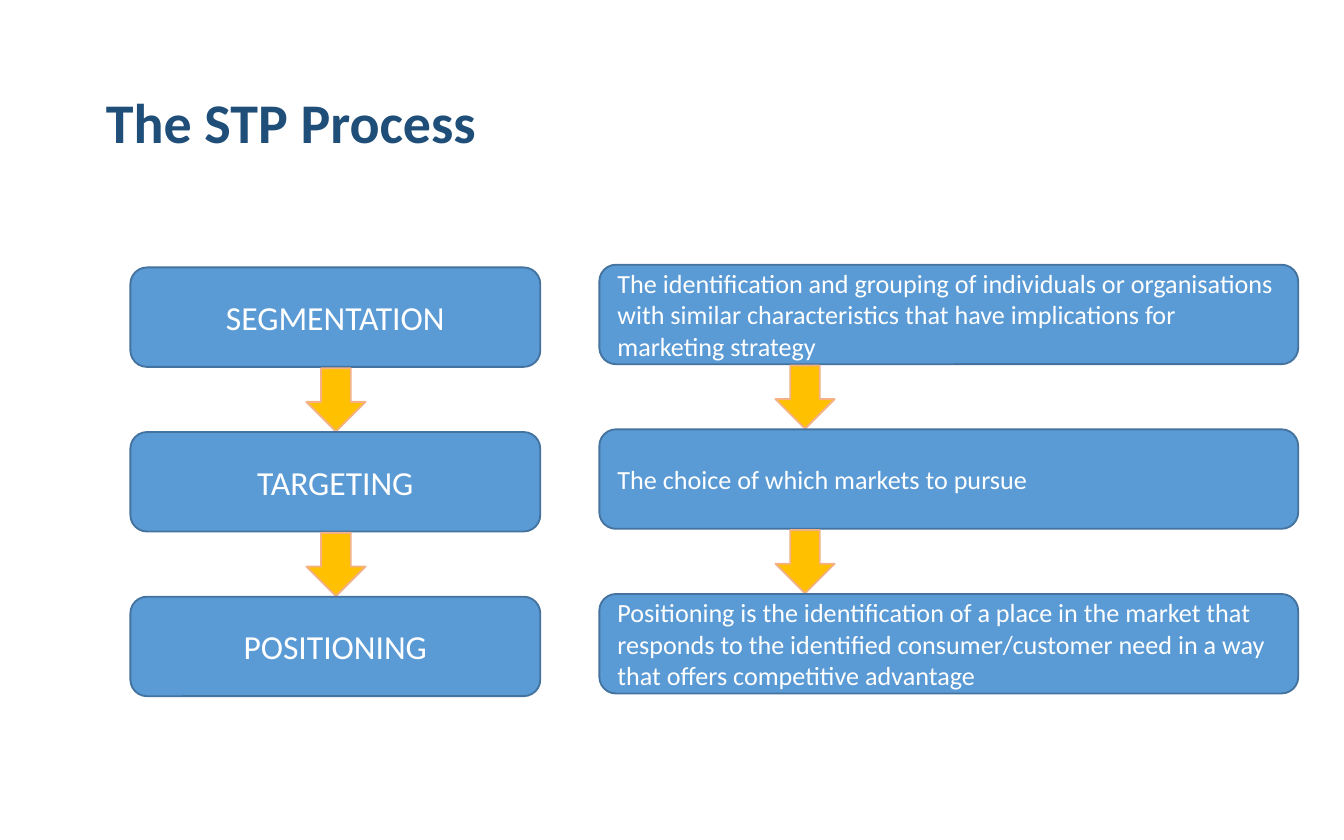
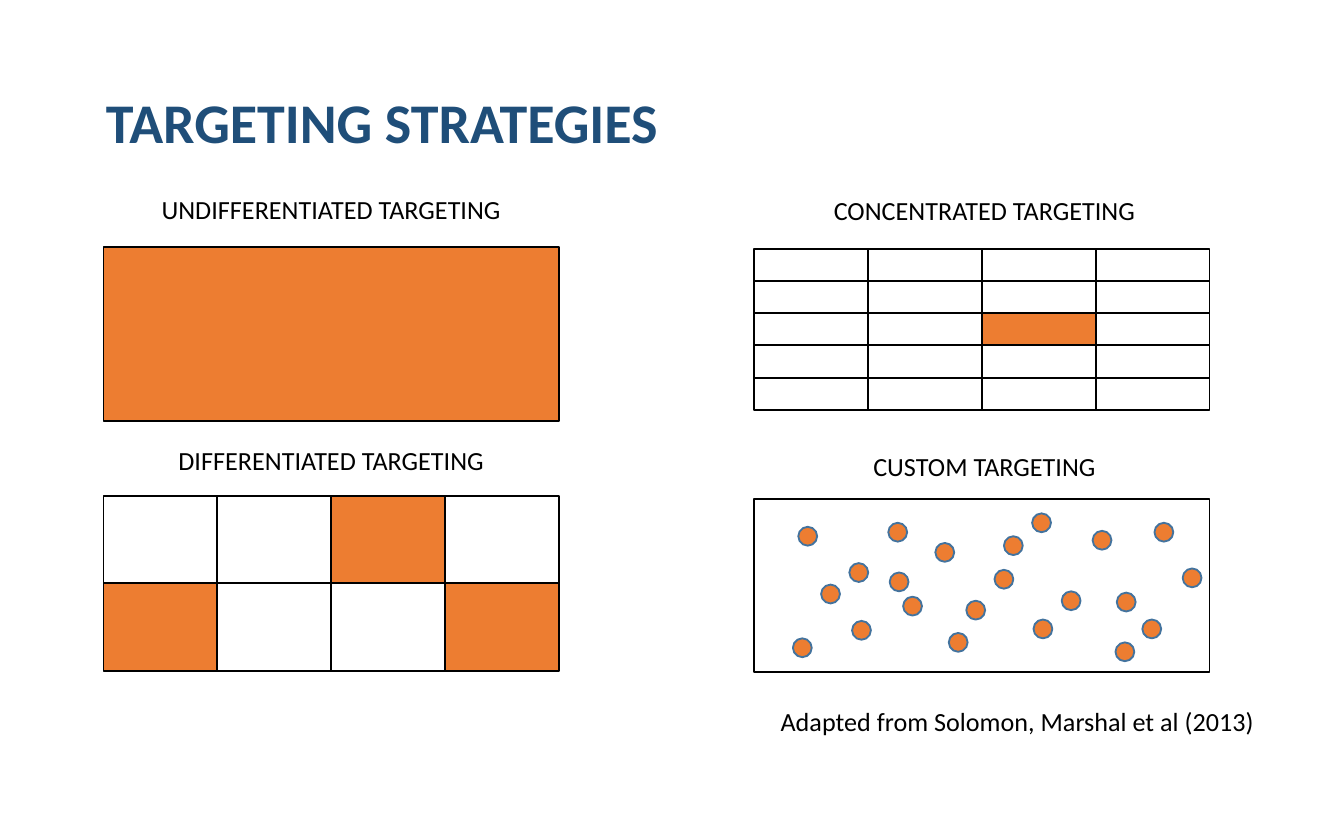
import pptx
import pptx.util
import pptx.dml.color
import pptx.enum.shapes
import pptx.enum.text

Inches = pptx.util.Inches
Pt = pptx.util.Pt
KIND = pptx.enum.shapes.MSO_SHAPE
ALIGN = pptx.enum.text.PP_ALIGN
ANCHOR = pptx.enum.text.MSO_ANCHOR
SIZING = pptx.enum.text.MSO_AUTO_SIZE

# Shared look
FONT = "Calibri"
NAVY = "1F4E79"
BLUE = "5B9BD5"
EDGE = "43739E"
GOLD = "FFC000"
PEACH = "F4B183"
ORANGE = "ED7D31"
WHITE = "FFFFFF"
BLACK = "000000"

# Slide 1: each step with its meaning
STEPS = [
    ("SEGMENTATION",
     "The identification and grouping of individuals or organisations with "
     "similar characteristics that have implications for marketing strategy"),
    ("TARGETING", "The choice of which markets to pursue"),
    ("POSITIONING",
     "Positioning is the identification of a place in the market that responds "
     "to the identified consumer/customer need in a way that offers "
     "competitive advantage"),
]
BOX_HIGH = 0.74
STEP_GAP = 2.45 / 2

# Slide 2: panel size and the customers of custom targeting
LEFT, RIGHT = 0.77, 5.61
PANEL_WIDE, PANEL_HIGH = 3.39, 1.29
DOT = 0.14
DOTS = [
    (5.94, 3.92), (6.34, 4.62), (6.61, 3.89), (6.72, 4.44), (6.96, 4.04),
    (7.19, 4.47), (8.59, 3.89), (8.31, 4.41), (6.11, 4.35), (5.9, 4.75),
    (6.62, 4.26), (7.06, 4.71), (7.47, 3.99), (7.69, 4.61), (8.13, 3.95),
    (8.3, 4.78), (8.8, 4.23), (6.32, 4.19), (7.4, 4.24), (7.9, 4.4),
    (7.68, 3.82), (8.5, 4.61),
]


def color(code):
    return pptx.dml.color.RGBColor.from_string(code)


def write(frame, text, size=14, ink=BLACK, bold=False, align=ALIGN.LEFT,
          anchor=ANCHOR.TOP, spacing=None):
    frame.word_wrap = True
    frame.vertical_anchor = anchor
    para = frame.paragraphs[0]
    para.alignment = align
    para.line_spacing = spacing
    run = para.add_run()
    run.text = text
    run.font.name = FONT
    run.font.size = Pt(size)
    run.font.bold = bold
    run.font.color.rgb = color(ink)


def add_text(slide, text, x, y, wide, high, **style):
    box = slide.shapes.add_textbox(Inches(x), Inches(y), Inches(wide), Inches(high))
    write(box.text_frame, text, **style)
    return box


def add_label(slide, text, x, y, wide=3.11, align=ALIGN.CENTER):
    box = add_text(slide, text, x, y, wide, 0.34, align=align)
    box.text_frame.auto_size = SIZING.SHAPE_TO_FIT_TEXT


def add_shape(slide, kind, x, y, wide, high, fill=None, line=BLACK):
    shape = slide.shapes.add_shape(
        kind, Inches(x), Inches(y), Inches(wide), Inches(high))
    shape.shadow.inherit = False
    if fill:
        shape.fill.solid()
        shape.fill.fore_color.rgb = color(fill)
    else:
        shape.fill.background()
    shape.line.color.rgb = color(line)
    shape.line.width = Pt(1)
    return shape


def add_slide(deck, title):
    slide = deck.slides.add_slide(deck.slide_layouts[6])
    add_text(slide, title, 0.69, 0.33, 8.62, 1.21, size=30, ink=NAVY,
             bold=True, anchor=ANCHOR.MIDDLE, spacing=0.9)
    return slide


def add_flow(slide, texts, x, y, wide, arrow_x, **style):
    """Stack boxes with a down arrow in each gap."""
    for row, text in enumerate(texts):
        top = y + row * STEP_GAP
        box = add_shape(slide, KIND.ROUNDED_RECTANGLE, x, top, wide, BOX_HIGH,
                        BLUE, EDGE)
        write(box.text_frame, text, ink=WHITE, anchor=ANCHOR.MIDDLE, **style)
        if row < len(texts) - 1:
            add_shape(slide, KIND.DOWN_ARROW, arrow_x, top + BOX_HIGH + 0.01,
                      0.44, 0.47, GOLD, PEACH)


def add_grid(slide, x, y, rows, cols, high, fills):
    """Draw a panel of equal cells; fills maps (row, col) to a colour."""
    wide = PANEL_WIDE / cols
    for row in range(rows):
        for col in range(cols):
            add_shape(slide, KIND.RECTANGLE, x + col * wide, y + row * high,
                      wide, high, fills.get((row, col)))


def build_process(deck):
    slide = add_slide(deck, "The STP Process")
    names, notes = zip(*STEPS)
    add_flow(slide, names, 0.97, 1.99, 3.05, 2.28, size=18, align=ALIGN.CENTER)
    add_flow(slide, notes, 4.46, 1.97, 5.2, 5.77)


def build_targets(deck):
    slide = add_slide(deck, "TARGETING STRATEGIES")

    # Panels
    add_grid(slide, LEFT, 1.84, 1, 1, PANEL_HIGH, {(0, 0): ORANGE})
    add_grid(slide, LEFT, 3.69, 2, 4, 0.65,
             {(0, 0): WHITE, (0, 2): ORANGE, (1, 0): ORANGE, (1, 3): ORANGE})
    add_grid(slide, RIGHT, 3.71, 1, 1, PANEL_HIGH, {})
    add_grid(slide, RIGHT, 1.85, 5, 4, 0.24,
             {(0, 0): WHITE, (2, 0): WHITE, (2, 2): ORANGE})
    for x, y in DOTS:
        add_shape(slide, KIND.OVAL, x, y, DOT, DOT, ORANGE, EDGE)

    # Labels and credit line
    add_label(slide, "UNDIFFERENTIATED TARGETING", 0.91, 1.39)
    add_label(slide, "DIFFERENTIATED TARGETING", 0.91, 3.26)
    add_label(slide, "CONCENTRATED TARGETING", 5.77, 1.4)
    add_label(slide, "CUSTOM TARGETING", 5.77, 3.3)
    add_label(slide, "Adapted from Solomon, Marshal et al (2013)", 5.71, 5.2,
              wide=3.91, align=ALIGN.LEFT)


def main():
    deck = pptx.Presentation()
    deck.slide_width = Inches(10)
    deck.slide_height = Inches(6.25)
    build_process(deck)
    build_targets(deck)
    deck.save("out.pptx")


if __name__ == "__main__":
    main()
